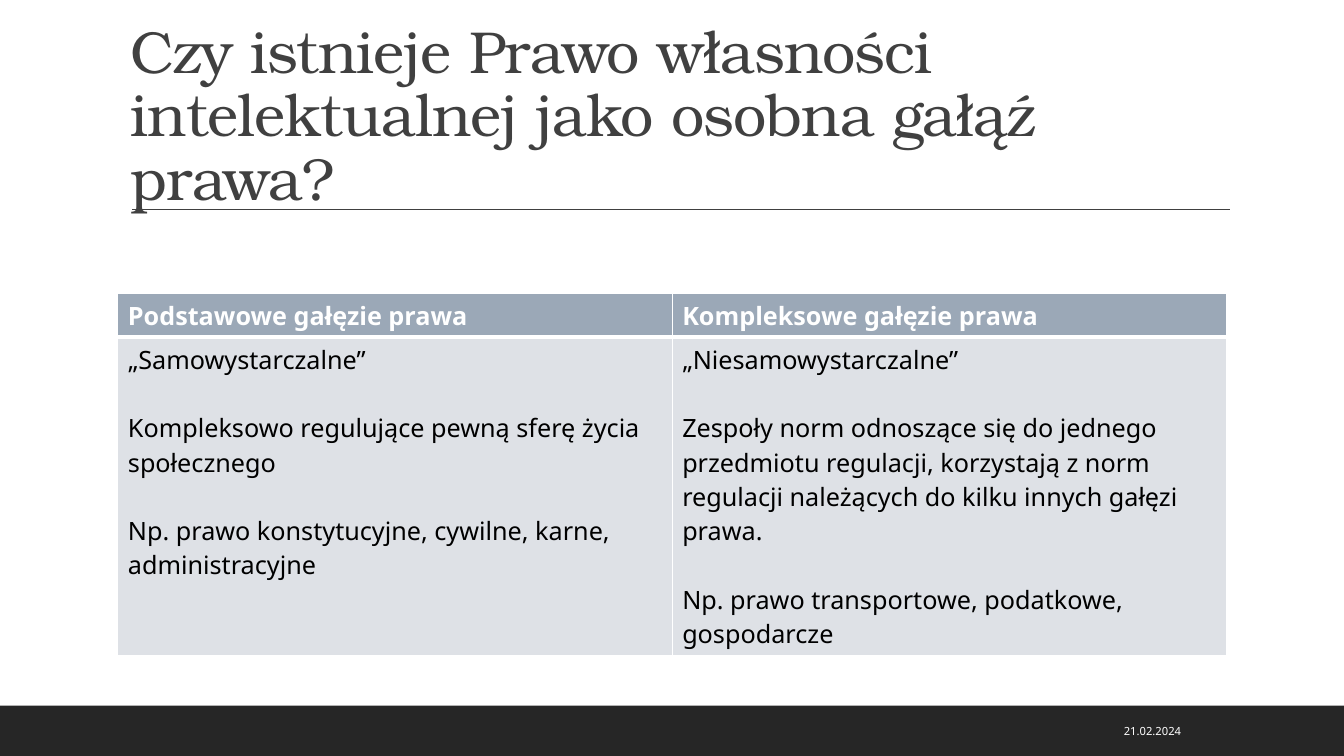
from lxml.etree import SubElement
from pptx import Presentation
from pptx.dml.color import RGBColor
from pptx.enum.shapes import MSO_CONNECTOR as Connector, MSO_SHAPE as Shape
from pptx.enum.text import MSO_ANCHOR as Anchor, PP_ALIGN as Align
from pptx.oxml.ns import qn
from pptx.util import Cm, Pt

COLORS = {
    "footer": "262626",
    "title": "404040",
    "header": "9BA8B7",
    "body": "DEE1E6",
    "white": "FFFFFF",
    "black": "000000",
}
SANS, SERIF = "Noto Sans", "TeX Gyre Bonum"
BRANCHES = [
    ("Podstawowe gałęzie prawa", [
        "„Samowystarczalne”",
        "Kompleksowo regulujące pewną sferę życia społecznego",
        "Np. prawo konstytucyjne, cywilne, karne, administracyjne",
    ]),
    ("Kompleksowe gałęzie prawa", [
        "„Niesamowystarczalne”",
        "Zespoły norm odnoszące się do jednego przedmiotu regulacji, korzystają z norm "
        "regulacji należących do kilku innych gałęzi prawa.",
        "Np. prawo transportowe, podatkowe, gospodarcze",
    ]),
]


def add_text(paragraph, text, size, color, font=SANS, bold=False):
    run = paragraph.add_run()
    run.text = text
    run.font.size = Pt(size)
    run.font.name = font
    run.font.bold = bold
    run.font.color.rgb = RGBColor.from_string(COLORS[color])
    return run


def style_cell(cell, fill, borders):
    properties = cell._tc.get_or_add_tcPr()
    for side, width in borders.items():
        border = SubElement(properties, qn(f"a:ln{side}"), w=str(Pt(width)))
        paint = SubElement(border, qn("a:solidFill"))
        SubElement(paint, qn("a:srgbClr"), val=COLORS["white"])
    cell.fill.solid()
    cell.fill.fore_color.rgb = RGBColor.from_string(COLORS[fill])


prs = Presentation()
prs.slide_width, prs.slide_height = Cm(33.87), Cm(19.05)
slide = prs.slides.add_slide(prs.slide_layouts[6])
shapes = slide.shapes

footer = shapes.add_shape(Shape.RECTANGLE, 0, Cm(17.78), prs.slide_width, Cm(1.27))
footer.shadow.inherit = False
footer.fill.solid()
footer.fill.fore_color.rgb = RGBColor.from_string(COLORS["footer"])
footer.line.fill.background()

rule = shapes.add_connector(Connector.STRAIGHT, Cm(3.33), Cm(5.28), Cm(31), Cm(5.28))
rule.line.color.rgb = RGBColor.from_string(COLORS["title"])
rule.line.width = Pt(1)
SubElement(rule._element.spPr, qn("a:effectLst"))

title = shapes.add_textbox(Cm(3.05), Cm(0.79), Cm(27.94), Cm(4.72)).text_frame
title.word_wrap = True
title.vertical_anchor = Anchor.BOTTOM
title.paragraphs[0].line_spacing = 0.9
question = add_text(
    title.paragraphs[0],
    "Czy istnieje Prawo własności intelektualnej jako osobna gałąź prawa?",
    42.3, "title", SERIF,
)
question.font._element.set("spc", "-50")

comparison = shapes.add_table(2, 2, Cm(2.97), Cm(7.39), Cm(27.94), Cm(9.12)).table
comparison.horz_banding = False
comparison.rows[0].height, comparison.rows[1].height = Cm(1.11), Cm(8.01)
for column, (branch, features) in enumerate(BRANCHES):
    heading, details = comparison.cell(0, column), comparison.cell(1, column)
    style_cell(heading, "header", {"L": 1, "R": 1, "T": 1, "B": 3})
    style_cell(details, "body", {"L": 1, "R": 1, "T": 3, "B": 1})
    add_text(heading.text_frame.paragraphs[0], branch, 18, "white", bold=True)
    for index, feature in enumerate(features):
        frame = details.text_frame
        paragraph = frame.add_paragraph() if index else frame.paragraphs[0]
        paragraph.space_before = Pt(24.5 if index else 0)
        add_text(paragraph, feature, 18, "black")

date = shapes.add_textbox(Cm(22.83), Cm(17.91), Cm(7.19), Cm(1.02)).text_frame
date.word_wrap = True
date.vertical_anchor = Anchor.MIDDLE
date.paragraphs[0].alignment = Align.RIGHT
add_text(date.paragraphs[0], "21.02.2024", 8, "white")

prs.save("out.pptx")
